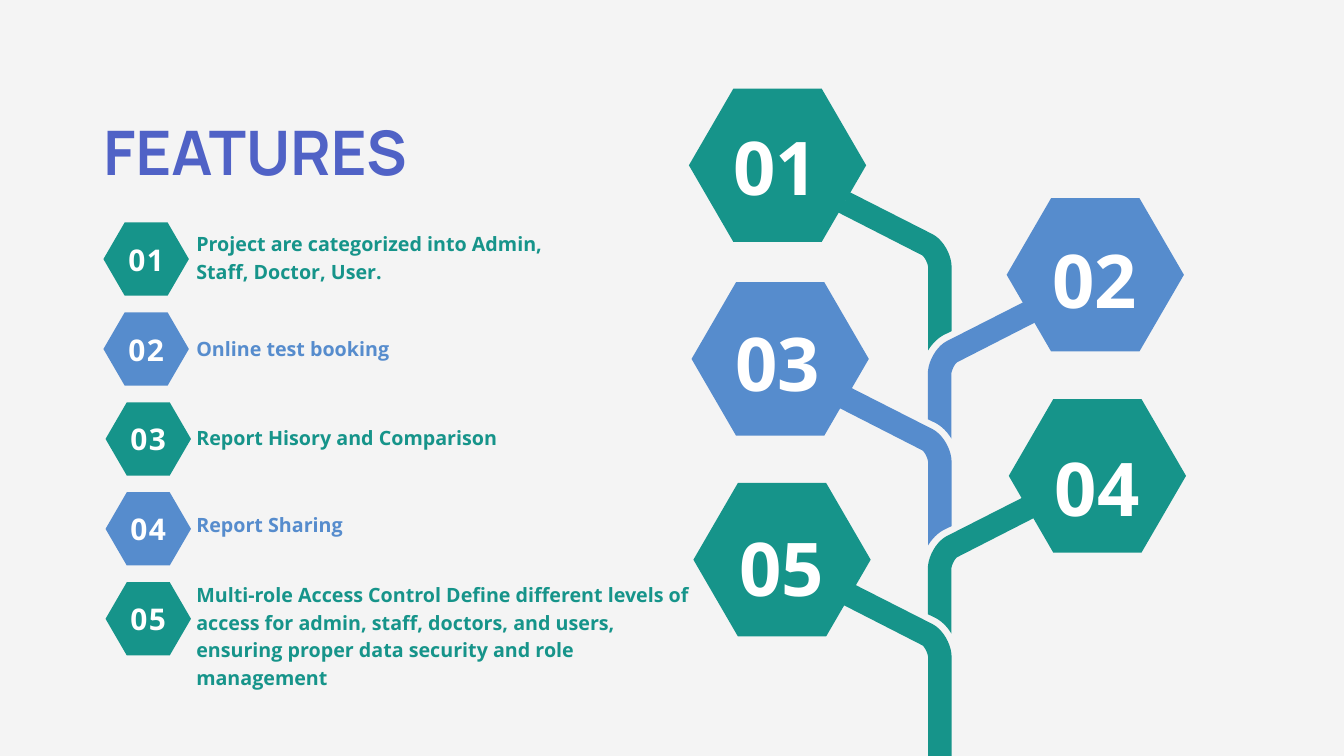
from pptx import Presentation
from pptx.dml.color import RGBColor
from pptx.enum.shapes import MSO_SHAPE
from pptx.enum.text import MSO_ANCHOR, MSO_AUTO_SIZE, PP_ALIGN
from pptx.util import Cm, Pt

HEXAGON = MSO_SHAPE.HEXAGON
TOP, MIDDLE = MSO_ANCHOR.TOP, MSO_ANCHOR.MIDDLE
LEFT, CENTER = PP_ALIGN.LEFT, PP_ALIGN.CENTER
TEAL, BLUE, INDIGO, WHITE, PALE = "16948A", "568CCD", "5062C6", "FFFFFF", "F4F4F4"
SLIDE_WIDTH, SLIDE_HEIGHT = 50.8, 28.58

TITLE = "FEATURES"
FEATURES = [
    ("Project are categorized into Admin, Staff, Doctor, User.", TEAL, 3.91, 8.61, 14.68),
    ("Online test booking", BLUE, 3.91, 12.57, 10.24),
    ("Report Hisory and Comparison", TEAL, 3.99, 15.93, 13.44),
    ("Report Sharing", BLUE, 3.99, 19.25, 11.51),
    ("Multi-role Access Control Define different levels of access for admin, staff, "
     "doctors, and users, ensuring proper data security and role management",
     TEAL, 3.99, 21.89, 18.8),
]
BADGE_TOP, BADGE_STEP, BADGE_SIZE = 8.41, 3.4, (3.23, 2.77)
FEATURE_LEFT = 7.42

LEAF_SIZE, NUMBER_SIZE = (6.7, 5.8), (5.72, 3.78)
LEAVES = [
    ("01", TEAL, (26.04, 3.35), (26.47, 4.04)),
    ("02", BLUE, (38.05, 7.49), (38.53, 8.31)),
    ("03", BLUE, (26.14, 10.67), (26.54, 11.46)),
    ("04", TEAL, (38.13, 15.09), (38.61, 16.15)),
    ("05", TEAL, (26.21, 18.26), (26.7, 19.2)),
]

STEM_CENTER, STEM_INNER, STEM_OUTER = 35.52, 35.08, 35.97
LEFT_TOP, RIGHT_TOP, BRANCH_STEP = 7.26, 11.3, 7.37
LEFT_DEPTH, RIGHT_DEPTH = 5.26, 4.55
ARM = [
    (STEM_INNER, 2.84),
    (STEM_INNER, 2.72, 34.95, 2.44, 34.85, 2.39),
    (31.62, 0.74),
    (31.83, 0.53, 32.0, 0.28, 32.11, 0),
    (35.26, 1.6),
    (35.64, 1.8, STEM_OUTER, 2.36, STEM_OUTER, 2.84),
]


def notch(depth):
    return [
        (STEM_OUTER, depth),
        (35.66, depth + 0.15),
        (35.43, depth + 0.28, 35.23, depth + 0.48, STEM_INNER, depth + 0.73),
    ]


def flat_end(depth):
    return [(STEM_OUTER, depth), (STEM_INNER, depth)]


BRANCHES = [
    (BLUE, LEFT_TOP + BRANCH_STEP, notch(LEFT_DEPTH), False),
    (TEAL, LEFT_TOP, notch(LEFT_DEPTH), False),
    (TEAL, LEFT_TOP + 2 * BRANCH_STEP,
     flat_end(SLIDE_HEIGHT - LEFT_TOP - 2 * BRANCH_STEP), False),
    (BLUE, RIGHT_TOP, notch(RIGHT_DEPTH), True),
    (TEAL, RIGHT_TOP + BRANCH_STEP, notch(RIGHT_DEPTH), True),
]


def color(hex_value):
    return RGBColor.from_string(hex_value)


def paint(shape, fill):
    shape.shadow.inherit = False
    shape.fill.solid()
    shape.fill.fore_color.rgb = color(fill)
    shape.line.fill.background()


def write(shape, text, font, size, ink, leading, align=LEFT, anchor=TOP, wrap=True):
    frame = shape.text_frame
    frame.text = text
    frame.word_wrap = wrap
    frame.auto_size = MSO_AUTO_SIZE.NONE
    frame.vertical_anchor = anchor
    frame.margin_left = frame.margin_right = frame.margin_top = frame.margin_bottom = 0
    paragraph = frame.paragraphs[0]
    paragraph.alignment = align
    paragraph.line_spacing = Pt(leading)
    paragraph.space_before = Pt(0)
    run = paragraph.runs[0]
    run.font.name, run.font.size, run.font.bold = font, Pt(size), True
    run.font.color.rgb = color(ink)
    return run


def add_hexagon(slide, position, size, fill):
    hexagon = slide.shapes.add_shape(HEXAGON, *map(Cm, position + size))
    hexagon.adjustments[0] = 0.29
    paint(hexagon, fill)
    return hexagon


def flatten(outline, steps=10):
    points = [outline[0]]
    for segment in outline[1:]:
        if len(segment) == 2:
            points.append(segment)
            continue
        x0, y0 = points[-1]
        x1, y1, x2, y2, x3, y3 = segment
        for step in range(1, steps + 1):
            t = step / steps
            weights = (1 - t) ** 3, 3 * t * (1 - t) ** 2, 3 * t * t * (1 - t), t ** 3
            points.append((
                sum(w * x for w, x in zip(weights, (x0, x1, x2, x3))),
                sum(w * y for w, y in zip(weights, (y0, y1, y2, y3))),
            ))
    return points


def add_branch(slide, fill, top, end, mirrored):
    points = [
        (Cm(2 * STEM_CENTER - x if mirrored else x), Cm(top + y))
        for x, y in flatten(ARM + end)
    ]
    builder = slide.shapes.build_freeform(*points[0])
    builder.add_line_segments(points[1:], close=True)
    paint(builder.convert_to_shape(), fill)


def main():
    deck = Presentation()
    deck.slide_width, deck.slide_height = Cm(SLIDE_WIDTH), Cm(SLIDE_HEIGHT)
    slide = deck.slides.add_slide(deck.slide_layouts[5])
    slide.background.fill.solid()
    slide.background.fill.fore_color.rgb = color(PALE)

    title = slide.shapes.title
    title.left, title.top, title.width, title.height = map(Cm, (3.91, 3.84, 21.11, 3.28))
    write(title, TITLE, "Manrope", 65.8, INDIGO, 92.2)

    for branch in BRANCHES:
        add_branch(slide, *branch)

    for number, fill, leaf_position, number_position in LEAVES:
        add_hexagon(slide, leaf_position, LEAF_SIZE, fill)
        label = slide.shapes.add_textbox(*map(Cm, number_position + NUMBER_SIZE))
        write(label, number, "Open Sans", 79.4, WHITE, 111.1, CENTER)

    for index, (feature, ink, badge_left, top, width) in enumerate(FEATURES):
        badge_position = (badge_left, BADGE_TOP + index * BADGE_STEP)
        badge = add_hexagon(slide, badge_position, BADGE_SIZE, ink)
        number = write(badge, f"{index + 1:02}", "Open Sans", 32, WHITE, 44.8,
                       CENTER, MIDDLE, False)
        number._r.get_or_add_rPr().set("spc", "160")
        badge.text_frame.margin_bottom = Cm(0.22)
        height = 4.2 if len(feature) > 100 else 2.1 if len(feature) > 40 else 1.05
        description = slide.shapes.add_textbox(*map(Cm, (FEATURE_LEFT, top, width, height)))
        write(description, feature, "Open Sans", 21.1, ink, 29.6)

    deck.save("out.pptx")


if __name__ == "__main__":
    main()
